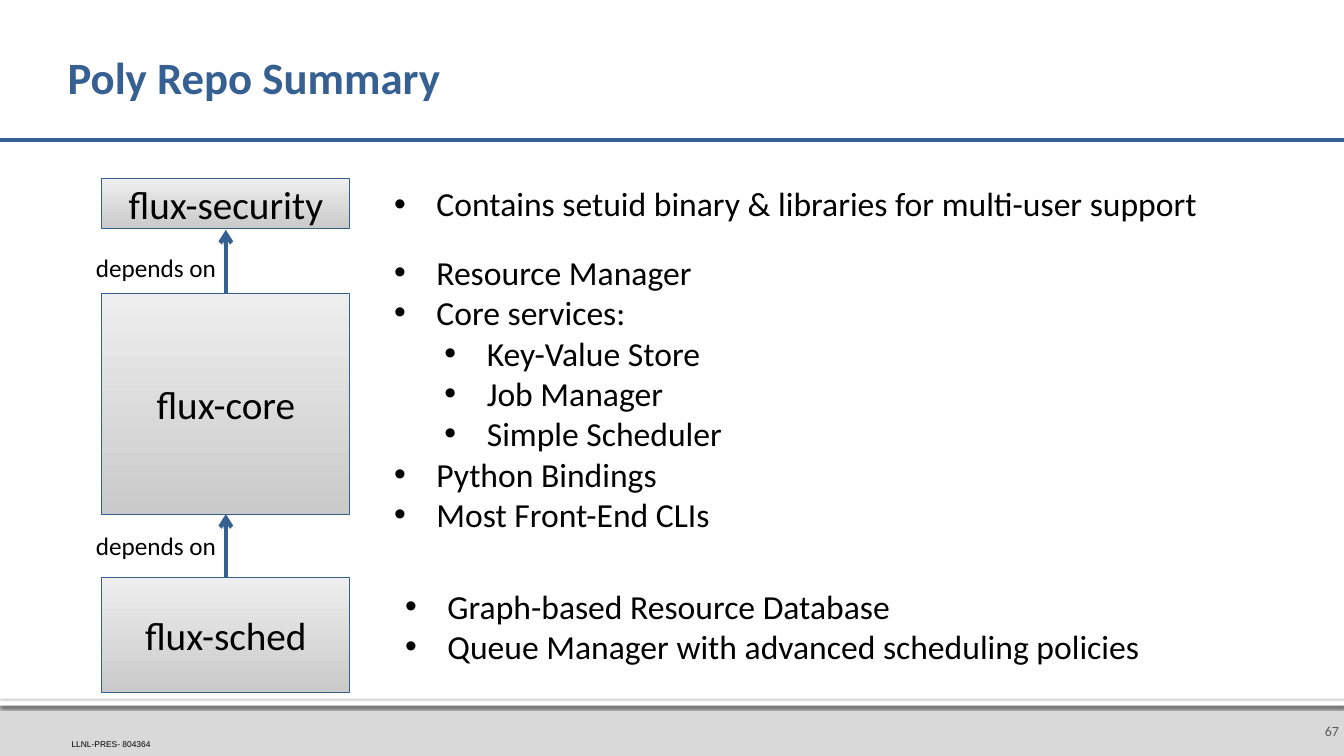
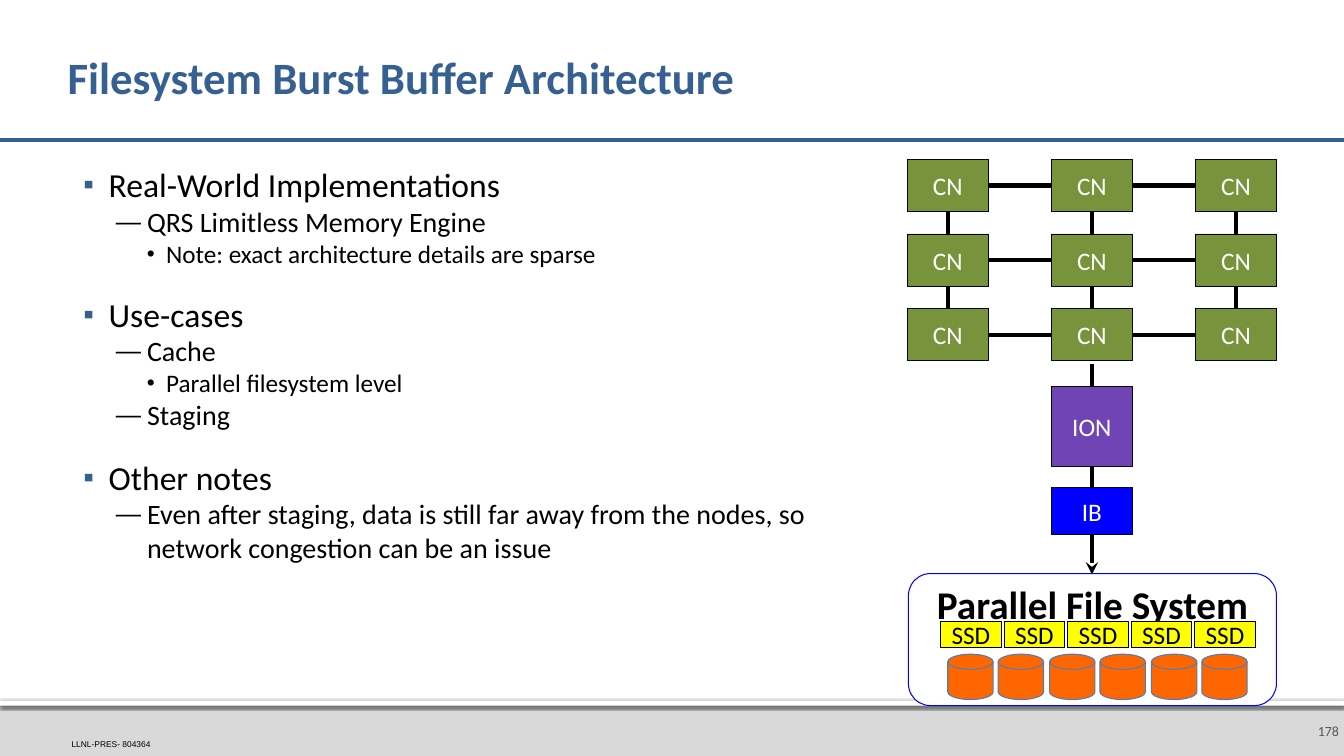
from dataclasses import dataclass

from lxml.etree import SubElement
from pptx import Presentation
from pptx.dml.color import RGBColor
from pptx.enum.shapes import MSO_CONNECTOR, MSO_SHAPE
from pptx.enum.text import MSO_ANCHOR, PP_ALIGN
from pptx.oxml.ns import qn
from pptx.util import Emu, Pt

PX = 9144  # one hundredth of an inch in EMU
WIDTH, HEIGHT = 1333, 750

COLORS = {
    "ink": "000000", "paper": "FFFFFF", "accent": "376092",
    "footer": "D9D9D9", "number": "595959",
    "shade_dark": "CACACA", "shade_light": "EEEEEE",
    "node": "77933C", "gateway": "7044B5", "network": "0000FF",
    "flash": "FFFF00", "disk": "FF6600", "disk_edge": "4B7EBC",
}


@dataclass
class Level:
    """Look of one bullet level, with its lengths in px."""
    bullet: str
    left: int
    hang: int
    size: int
    percent: int = 100
    color: str = "ink"
    before: int = 0


PLAIN_LEVELS = [Level("•", 42, 42, 24), Level("•", 92, 42, 24)]
OUTLINE_LEVELS = [
    Level("▪", 31, 25, 24, 90, "accent", 18),
    Level("—", 69, 31, 20, 90),
    Level("•", 88, 19, 18, 90),
]


def px(value):
    return Emu(value * PX)


def rgb(name):
    return RGBColor.from_string(COLORS[name])


def add_bullet(para, level):
    properties = para._p.get_or_add_pPr()
    properties.set("marL", str(px(level.left)))
    properties.set("indent", str(-px(level.hang)))
    tint = SubElement(properties, qn("a:buClr"))
    SubElement(tint, qn("a:srgbClr"), val=COLORS[level.color])
    SubElement(properties, qn("a:buSzPct"), val=str(level.percent * 1000))
    SubElement(properties, qn("a:buFont"), typeface="Arial")
    SubElement(properties, qn("a:buChar"), char=level.bullet)


def write_text(frame, lines, size=18, font="Calibri", color="ink", bold=False,
               align=PP_ALIGN.LEFT, anchor=MSO_ANCHOR.TOP,
               insets=(10, 5, 10, 5), spacing=None, levels=None):
    """Fill a frame with a string, or with (text, depth) pairs set by levels."""
    frame.word_wrap = True
    frame.vertical_anchor = anchor
    (frame.margin_left, frame.margin_top,
     frame.margin_right, frame.margin_bottom) = map(px, insets)
    if isinstance(lines, str):
        lines = [(lines, 0)]
    for index, (text, depth) in enumerate(lines):
        para = frame.add_paragraph() if index else frame.paragraphs[0]
        para.alignment = align
        para.level = depth
        if spacing:
            para.line_spacing = spacing
        level = levels[depth] if levels else None
        if level:
            add_bullet(para, level)
            if index and level.before:
                para.space_before = Pt(level.before)
        span = para.add_run()
        span.text = text
        span.font.name = font
        span.font.size = Pt(level.size if level else size)
        span.font.bold = bold
        span.font.color.rgb = rgb(color)


class SlideBuilder:
    def __init__(self):
        self.deck = Presentation()
        self.deck.slide_width, self.deck.slide_height = px(WIDTH), px(HEIGHT)
        self.page = None

    def start(self, title, number):
        """Open a page with the shared title, rule and footer."""
        self.page = self.deck.slides.add_slide(self.deck.slide_layouts[6])
        self.shape((0, 695, WIDTH, 55), "footer")
        self.add_shadow(self.shape((0, 695, WIDTH, 5), "paper"))
        self.text((1287, 700, 46, 50), number, size=10, color="number",
                  align=PP_ALIGN.RIGHT, anchor=MSO_ANCHOR.MIDDLE,
                  insets=(10, 5, 5, 5))
        self.text((71, 733, 127, 10), "LLNL-PRES- 804364", size=6, font="Arial",
                  anchor=MSO_ANCHOR.BOTTOM, insets=(0, 0, 0, 0))
        self.line((0, 139), (WIDTH, 139), "accent")
        self.text((67, 24, 1200, 110), title, size=32, color="accent", bold=True,
                  anchor=MSO_ANCHOR.MIDDLE, insets=(0, 5, 5, 5), spacing=0.9)

    def text(self, area, lines, **style):
        box = self.page.shapes.add_textbox(*map(px, area))
        write_text(box.text_frame, lines, **style)

    def shape(self, area, fill, edge=None, weight=0.5,
              kind=MSO_SHAPE.RECTANGLE, label=None, **style):
        """Add a preset shape; a pair of fills runs from bottom to top."""
        shape = self.page.shapes.add_shape(kind, *map(px, area))
        shape.shadow.inherit = False
        if isinstance(fill, tuple):
            shape.fill.gradient()
            shape.fill.gradient_angle = 90
            for stop, name in zip(shape.fill.gradient_stops, fill):
                stop.color.rgb = rgb(name)
        else:
            shape.fill.solid()
            shape.fill.fore_color.rgb = rgb(fill)
        if edge:
            shape.line.color.rgb = rgb(edge)
            shape.line.width = Pt(weight)
        else:
            shape.line.fill.background()
        if label:
            centred = {"align": PP_ALIGN.CENTER, "anchor": MSO_ANCHOR.MIDDLE,
                       "insets": (0, 0, 0, 0)}
            write_text(shape.text_frame, label, **(centred | style))
        return shape

    def add_shadow(self, shape):
        effects = shape.element.spPr.find(qn("a:effectLst"))
        shadow = SubElement(effects, qn("a:outerShdw"), blurRad=str(Pt(2.5)),
                            dist=str(Pt(0.8)), dir="5400000", rotWithShape="0")
        tint = SubElement(shadow, qn("a:srgbClr"), val=COLORS["ink"])
        SubElement(tint, qn("a:alpha"), val="60000")

    def line(self, start, end, color="ink", arrow=None):
        line = self.page.shapes.add_connector(
            MSO_CONNECTOR.STRAIGHT, *map(px, start + end))
        line.line.color.rgb = rgb(color)
        line.line.width = Pt(3)
        properties = line.element.spPr
        if arrow:
            SubElement(properties.find(qn("a:ln")), qn("a:tailEnd"), type=arrow)
        SubElement(properties, qn("a:effectLst"))


def build_repo_summary(slide):
    slide.start("Poly Repo Summary", "67")

    # Repository stack
    for name, top, height in [("flux-security", 177, 50),
                              ("flux-core", 291, 219),
                              ("flux-sched", 573, 114)]:
        slide.shape((101, top, 246, height), ("shade_dark", "shade_light"),
                    "accent", label=name, size=28)

    # Dependencies
    for bottom, top, label_top in [(291, 228, 245), (573, 510, 521)]:
        slide.line((224, bottom), (224, top), "accent", arrow="arrow")
        slide.text((65, label_top, 159, 40), "depends on", align=PP_ALIGN.RIGHT)

    # Contents of each repository
    security = [("Contains setuid binary & libraries for multi-user support", 0)]
    core = [
        ("Resource Manager", 0),
        ("Core services:", 0),
        ("Key-Value Store", 1),
        ("Job Manager", 1),
        ("Simple Scheduler", 1),
        ("Python Bindings", 0),
        ("Most Front-End CLIs", 0),
    ]
    sched = [("Graph-based Resource Database", 0),
             ("Queue Manager with advanced scheduling policies", 0)]
    for area, lines in [((381, 177, 874, 50), security),
                        ((381, 245, 692, 293), core),
                        ((392, 576, 874, 91), sched)]:
        slide.text(area, lines, levels=PLAIN_LEVELS)


def build_burst_buffer(slide):
    slide.start("Filesystem Burst Buffer Architecture", "178")

    # Outline
    slide.text((67, 158, 800, 537), [
        ("Real-World Implementations", 0),
        ("QRS Limitless Memory Engine", 1),
        ("Note: exact architecture details are sparse", 2),
        ("Use-cases", 0),
        ("Cache", 1),
        ("Parallel filesystem level", 2),
        ("Staging", 1),
        ("Other notes", 0),
        ("Even after staging, data is still far away from the nodes, "
         "so network congestion can be an issue", 1),
    ], levels=OUTLINE_LEVELS)

    # Path from the compute nodes to storage
    slide.line((1083, 361), (1083, 570), arrow="stealth")
    slide.shape((1043, 484, 80, 46), "network", "ink", label="IB", color="paper")
    slide.shape((1043, 383, 80, 80), "gateway", "ink", label="ION", color="paper")

    # Compute node mesh: links first, nodes on top
    columns, rows = range(900, 1187, 143), range(158, 307, 74)
    for left in columns:
        slide.line((left + 40, 210), (left + 40, 306))
    for top in rows:
        slide.line((980, top + 26), (1186, top + 26))
    for top in rows:
        for left in columns:
            slide.shape((left, top, 80, 52), "node", "ink",
                        label="CN", color="paper")

    # Parallel file system
    slide.shape((901, 569, 365, 131), "paper", "network", 0.75,
                MSO_SHAPE.ROUNDED_RECTANGLE, "Parallel File System",
                size=28, bold=True, anchor=MSO_ANCHOR.TOP, insets=(10, 0, 10, 0))
    for index in range(6):
        slide.shape((940 + index * 101 // 2, 649, 45, 45), "disk", "disk_edge",
                    0.75, MSO_SHAPE.FLOWCHART_MAGNETIC_DISK)
    for index in range(5):
        slide.shape((933 + index * 63, 616, 60, 26), "flash", "ink", label="SSD")


def main():
    slide = SlideBuilder()
    build_repo_summary(slide)
    build_burst_buffer(slide)
    slide.deck.save("out.pptx")


if __name__ == "__main__":
    main()
